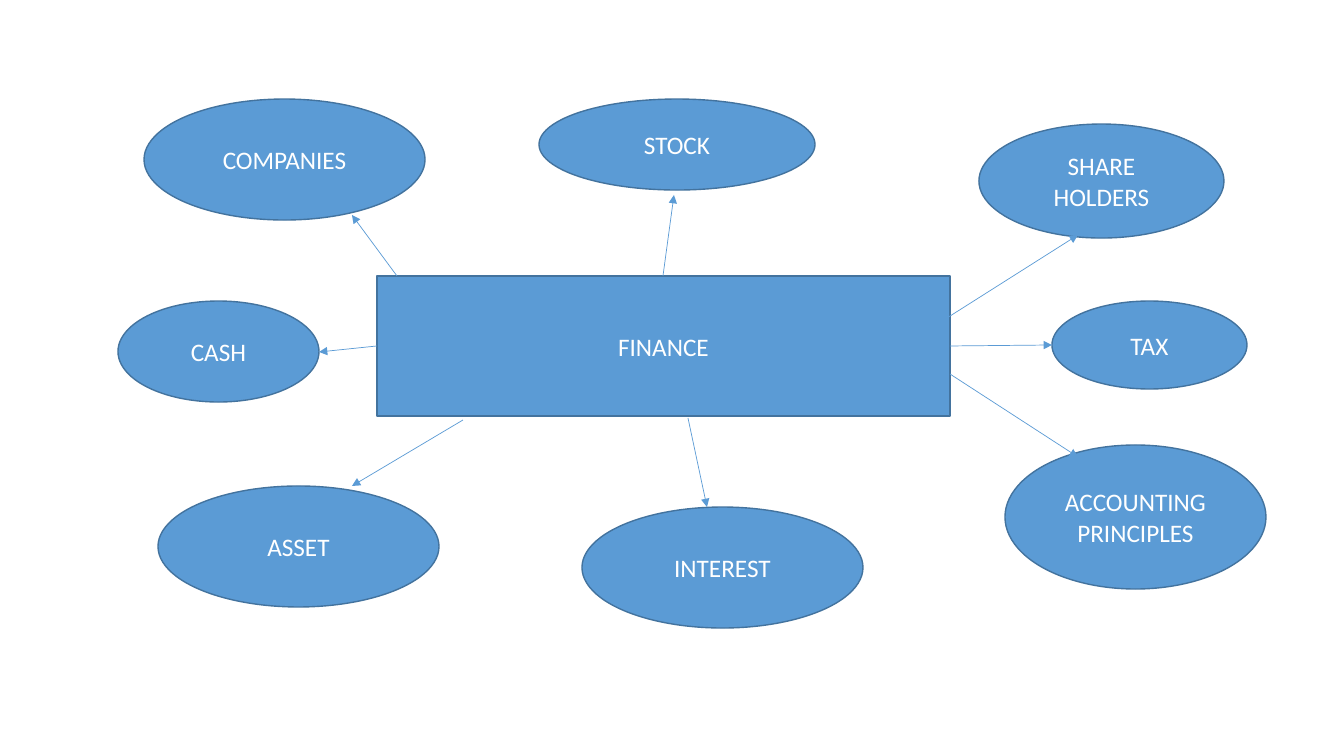
"""Build a mind map slide of finance and its related topics."""
from lxml.etree import SubElement
from pptx import Presentation
from pptx.dml.color import RGBColor
from pptx.enum.shapes import MSO_CONNECTOR as Connector, MSO_SHAPE as Shape
from pptx.enum.text import MSO_ANCHOR as Anchor, PP_ALIGN as Align
from pptx.oxml.ns import qn
from pptx.util import Emu, Pt

EMU_PER_PIXEL = 914400 / 100.8
COLORS = {"fill": "5B9BD5", "outline": "43739E", "text": "FFFFFF"}

FINANCE = (377, 276, 573, 140)
TOPICS = [
    ("STOCK", (539, 99, 276, 91), (663, 276), (674, 195)),
    ("SHARE HOLDERS", (979, 124, 245, 114), (928, 330), (1078, 235)),
    ("ACCOUNTING PRINCIPLES", (1005, 445, 261, 144), (950, 374), (1078, 457)),
    ("INTEREST", (582, 507, 281, 121), (688, 418), (707, 507)),
    ("ASSET", (158, 486, 281, 121), (463, 420), (352, 486)),
    ("COMPANIES", (144, 99, 281, 121), (397, 276), (352, 215)),
    ("CASH", (118, 301, 201, 101), (377, 346), (319, 352)),
    ("TAX", (1052, 301, 195, 88), (950, 346), (1052, 345)),
]


def px(*lengths):
    return [Emu(round(length * EMU_PER_PIXEL)) for length in lengths]


def color(name):
    return RGBColor.from_string(COLORS[name])


def add_node(slide, outline, label, box):
    node = slide.shapes.add_shape(outline, *px(*box))
    node.shadow.inherit = False
    node.fill.solid()
    node.fill.fore_color.rgb = color("fill")
    node.line.color.rgb = color("outline")
    node.line.width = Pt(1)
    frame = node.text_frame
    frame.text = label
    frame.word_wrap = True
    frame.vertical_anchor = Anchor.MIDDLE
    paragraph = frame.paragraphs[0]
    paragraph.alignment = Align.CENTER
    font = paragraph.runs[0].font
    font.name = "Calibri"
    font.size = Pt(18)
    font.color.rgb = color("text")


def add_arrow(slide, start, end):
    arrow = slide.shapes.add_connector(Connector.STRAIGHT, *px(*start, *end))
    arrow.line.color.rgb = color("fill")
    arrow.line.width = Pt(0.5)
    SubElement(arrow.line._get_or_add_ln(), qn("a:tailEnd"), type="triangle")
    SubElement(arrow._element.spPr, qn("a:effectLst"))


def main():
    deck = Presentation()
    deck.slide_width, deck.slide_height = px(1344, 756)
    slide = deck.slides.add_slide(deck.slide_layouts[6])
    add_node(slide, Shape.RECTANGLE, "FINANCE", FINANCE)
    for label, box, start, end in TOPICS:
        add_node(slide, Shape.OVAL, label, box)
        add_arrow(slide, start, end)
    deck.save("out.pptx")


main()
